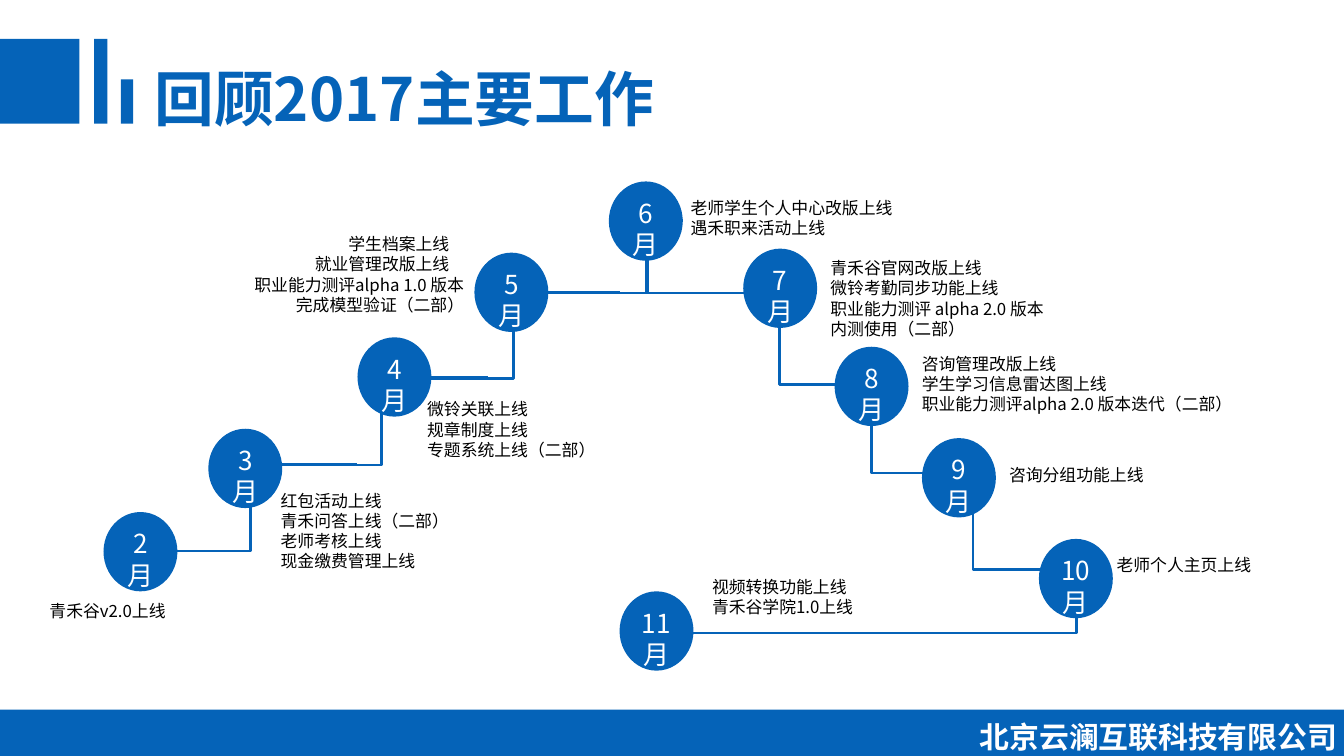
from dataclasses import dataclass

from pptx import Presentation, util as u
from pptx.dml.color import RGBColor
from pptx.enum import shapes, text
from pptx.oxml import ns, xmlchemy


@dataclass(frozen=True)
class Theme:
    blue: RGBColor = RGBColor(0x05, 0x63, 0xB8)
    white: RGBColor = RGBColor(0xFF, 0xFF, 0xFF)
    black: RGBColor = RGBColor(0, 0, 0)
    font: str = "Noto Sans CJK SC"
    title: int = 32
    company: int = 16
    month: int = 14
    note: int = 9
    line: float = 1.5


THEME = Theme()
LEFT, CENTER, RIGHT = text.PP_ALIGN.LEFT, text.PP_ALIGN.CENTER, text.PP_ALIGN.RIGHT
PAGE_WIDTH = u.Inches(10)
PAGE_HEIGHT = PAGE_WIDTH * 9 // 16
CIRCLE_WIDTH, CIRCLE_HEIGHT = 0.55, 0.59

BARS = [
    (0, 0.29, 0.59, 0.63),
    (0.7, 0.29, 0.1, 0.63),
    (0.9, 0.59, 0.09, 0.33),
    (0, 5.28, 10, 0.36),
]

MONTHS = {
    2: (0.77, 3.81),
    3: (1.55, 3.19),
    4: (2.66, 2.51),
    5: (3.53, 1.88),
    6: (4.53, 1.35),
    7: (5.53, 1.85),
    8: (6.21, 2.58),
    9: (6.86, 3.26),
    10: (7.73, 4.01),
    11: (4.61, 4.4),
}

STEPS = [
    ((1.07, 4.1), (2.66, 3.46), 0.5),
    ((2.05, 3.46), (3.63, 2.81), 0.5),
    ((3.03, 2.82), (4.61, 2.18), 0.5),
    ((4.01, 2.18), (5.08, 1.64), 0.75),
    ((4.63, 1.63), (5.79, 2.18), 0.16),
    ((5.63, 2.17), (6.35, 2.86), 0.24),
    ((6.31, 2.84), (7.03, 3.52), 0.24),
    ((7.07, 3.55), (7.78, 4.24), 0.24),
    ((5, 4.71), (8.01, 4.6), None),
]

NOTES = [
    ((0.27, 4.42, 1.1, 0.25), ["青禾谷v2.0上线"]),
    ((1.99, 3.6, 2.39, 0.71),
     ["红包活动上线", "青禾问答上线（二部）", "老师考核上线", "现金缴费管理上线"]),
    ((3.08, 2.92, 1.88, 0.56), ["微铃关联上线", "规章制度上线", "专题系统上线（二部）"]),
    ((5.04, 1.42, 1.9, 0.4), ["老师学生个人中心改版上线", "遇禾职来活动上线"]),
    ((6.08, 1.87, 2.81, 0.71),
     ["青禾谷官网改版上线", "微铃考勤同步功能上线",
      "职业能力测评 alpha 2.0 版本", "内测使用（二部）"]),
    ((6.76, 2.58, 2.62, 0.56),
     ["咨询管理改版上线", "学生学习信息雷达图上线",
      "职业能力测评alpha 2.0 版本迭代（二部）"]),
    ((7.41, 3.41, 1.5, 0.25), ["咨询分组功能上线"]),
    ((8.21, 4.08, 1.5, 0.25), ["老师个人主页上线"]),
    ((5.2, 4.24, 1.5, 0.4), ["视频转换功能上线", "青禾谷学院1.0上线"]),
]

MAY_BOX = (1.44, 1.69, 2.11, 0.71)
MAY_LINES = ["学生档案上线", "就业管理改版上线", "职业能力测评alpha 1.0 版本", "完成模型验证（二部）"]
MAY_INDENTS = [0.11, 0.11, 0, 0]


def inches(values):
    return [u.Inches(value) for value in values]


def apply(target, formats):
    for name, value in formats.items():
        setattr(target, name, value)


def add_child(parent, tag, **attributes):
    child = xmlchemy.OxmlElement(tag)
    for name, value in attributes.items():
        child.set(name, value)
    parent.append(child)
    return child


def write_lines(frame, lines, size, color, align=LEFT, bold=False):
    for index, line in enumerate(lines):
        para = frame.paragraphs[0] if index == 0 else frame.add_paragraph()
        para.alignment = align
        span = para.add_run()
        span.text = line
        apply(span.font, {"size": u.Pt(size), "name": THEME.font, "bold": bold})
        span.font.color.rgb = color
        add_child(span.font._element, "a:ea", typeface=THEME.font)


def add_text(page, place, lines, size, color, align=LEFT, bold=False, inset=None):
    box = page.shapes.add_textbox(*inches(place))
    frame = box.text_frame
    apply(frame, {"word_wrap": True, "auto_size": text.MSO_AUTO_SIZE.SHAPE_TO_FIT_TEXT})
    if inset is not None:
        sides = ("margin_left", "margin_top", "margin_right", "margin_bottom")
        apply(frame, dict.fromkeys(sides, u.Inches(inset)))
    write_lines(frame, lines, size, color, align, bold)
    return box


def add_filled(page, kind, place):
    shape = page.shapes.add_shape(kind, *inches(place))
    shape.shadow.inherit = False
    shape.fill.solid()
    shape.fill.fore_color.rgb = THEME.blue
    shape.line.fill.background()
    return shape


def add_month(page, month, left, top):
    circle = add_filled(page, shapes.MSO_SHAPE.OVAL, (left, top, CIRCLE_WIDTH, CIRCLE_HEIGHT))
    frame = circle.text_frame
    apply(frame, {
        "word_wrap": True,
        "vertical_anchor": text.MSO_ANCHOR.TOP,
        "margin_left": u.Inches(0.06),
        "margin_right": u.Inches(0.06),
        "margin_top": u.Inches(0.03),
        "margin_bottom": u.Inches(0.03),
    })
    write_lines(frame, [str(month), "月"], THEME.month, THEME.white, CENTER)


def add_step(page, start, end, bend):
    step = page.shapes.add_connector(shapes.MSO_CONNECTOR.ELBOW, *inches(start + end))
    step.line.color.rgb = THEME.blue
    step.line.width = u.Pt(THEME.line)
    properties = step._element.spPr
    add_child(properties.find(ns.qn("a:ln")), "a:headEnd", type="oval")
    add_child(properties, "a:effectLst")
    geometry = properties.find(ns.qn("a:prstGeom"))
    if bend is None:
        geometry.set("prst", "bentConnector2")
    else:
        guides = geometry.find(ns.qn("a:avLst"))
        add_child(guides, "a:gd", name="adj1", fmla=f"val {round(bend * 100000)}")


def add_may_note(page):
    box = add_text(page, MAY_BOX, MAY_LINES, THEME.note, THEME.black, RIGHT)
    for para, indent in zip(box.text_frame.paragraphs, MAY_INDENTS):
        para._p.get_or_add_pPr().set("marR", str(u.Inches(indent)))


def main():
    deck = Presentation()
    apply(deck, {"slide_width": PAGE_WIDTH, "slide_height": PAGE_HEIGHT})
    page = deck.slides.add_slide(deck.slide_layouts[6])
    for place in BARS:
        add_filled(page, shapes.MSO_SHAPE.RECTANGLE, place)
    add_text(page, (1.05, 0.41, 6.52, 0.64), ["回顾2017主要工作"],
             THEME.title, THEME.blue, bold=True)
    add_text(page, (6.65, 5.3, 3.35, 0.37), ["北京云澜互联科技有限公司"],
             THEME.company, THEME.white, RIGHT, True, 0.05)
    for start, end, bend in STEPS:
        add_step(page, start, end, bend)
    for month, (left, top) in MONTHS.items():
        add_month(page, month, left, top)
    for place, lines in NOTES:
        add_text(page, place, lines, THEME.note, THEME.black)
    add_may_note(page)
    deck.save("out.pptx")


if __name__ == "__main__":
    main()
